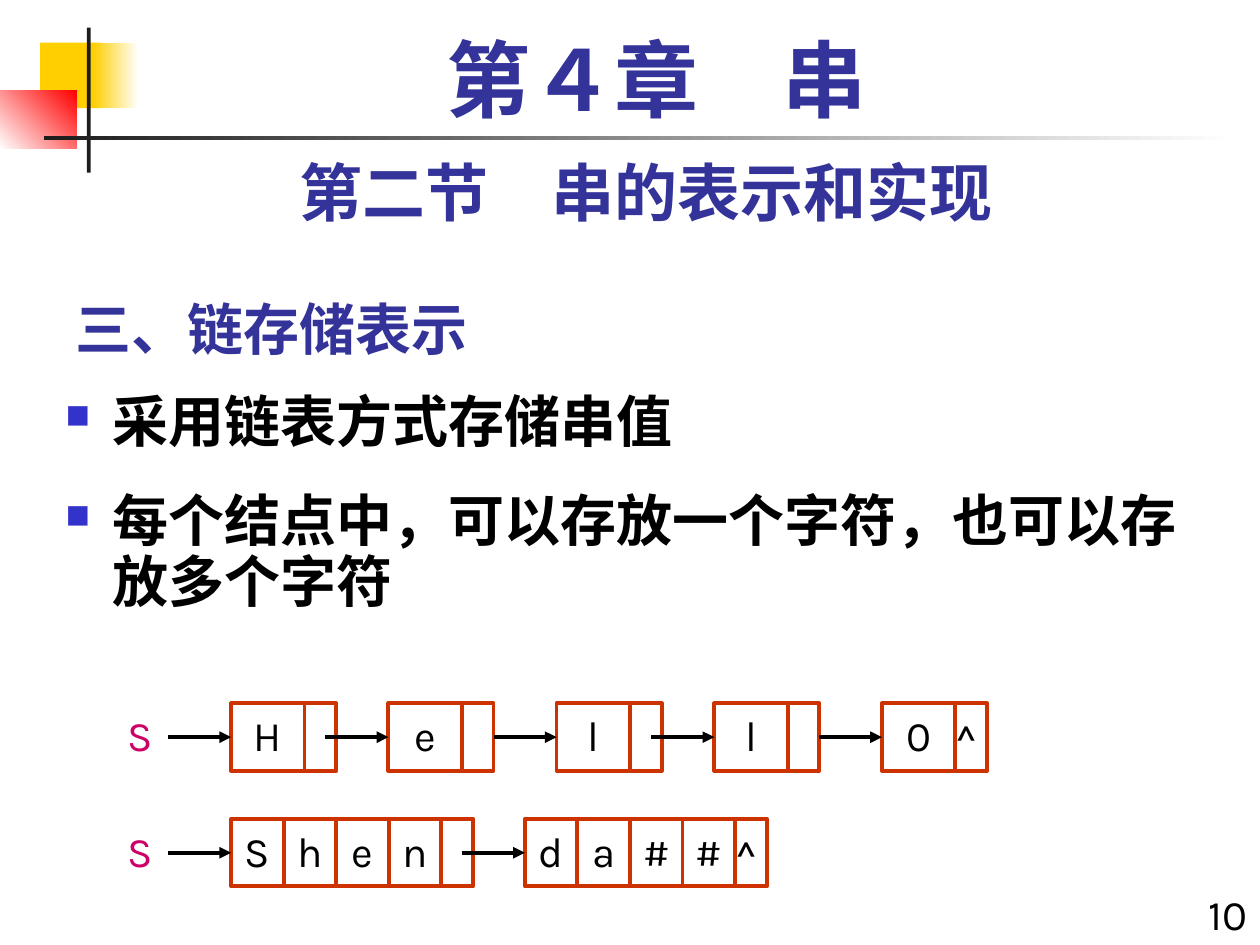
from lxml import etree
from pptx import Presentation
from pptx import util as u
from pptx.dml.color import RGBColor
from pptx.enum import shapes, text
from pptx.oxml import ns

THEME = {
    "gold": "FFCF01", "white": "FFFFFF", "red": "FF0000", "dark": "1C1C1C",
    "navy": "333399", "mark": "3333CC", "ink": "000000", "edge": "CC3300",
    "pink": "CC0066",
    "sans": "Karla", "han": "Noto Sans CJK SC", "serif": "Times New Roman",
    "big": 48, "mid": 36, "head": 32, "cell": 24, "rule": 2.25,
}

DECOR = [
    ((0.81, 0.86, 1.22, 1.32), ("gold",), 0),
    ((1.88, 0.86, 0.91, 1.32), ("gold", "white"), 0),
    ((0, 1.83, 1.55, 1.17), ("white", "red"), 45),
    ((1.75, 0.56, 0.08, 2.92), ("dark",), 0),
    ((0.89, 2.74, 24, 0.08), ("dark", "white"), 0),
]
LABELS = [
    ("三、链存储表示", (1.27, 5.51, 15.88, 1.9), "han", "head", "navy", True, "LEFT", "BOTTOM"),
    ("10", (23.7, 17.78, 1.7, 1.27), "sans", "cell", "ink", False, "RIGHT", "TOP"),
    ("第二节\u3000串的表示和实现", (1.27, 2.97, 23.5, 1.78), "sans", "mid", "navy", True, "CENTER", "TOP"),
    ("第４章\u3000串", (1.7, 0.43, 23.06, 2.11), "serif", "big", "navy", True, "CENTER", "TOP"),
]
POINTS = ["采用链表方式存储串值", "每个结点中，可以存放一个字符，也可以存放多个字符"]
CHAINS = [
    {"top": 14.18, "cell": 1.48, "nodes": [(4.66, "H"), (7.83, "e"), (11.22, "l"), (14.4, "l"), (17.78, "0")]},
    {"top": 16.51, "cell": 1.06, "nodes": [(4.66, "Shen"), (10.58, "da##")]},
]
HIGH, LINK, REACH = 1.36, 0.64, 1.27


def tint(key):
    return RGBColor.from_string(THEME[key])


def place(box):
    return [u.Cm(v) for v in box]


def style(par, face, size, hue, bold=False, align="LEFT"):
    par.alignment = getattr(text.PP_ALIGN, align)
    for run in par.runs:
        run.font.name = THEME[face]
        run.font.size = u.Pt(THEME[size])
        run.font.bold = bold
        run.font.color.rgb = tint(hue)


def label(pool, words, box, face, size, hue, bold=False, align="LEFT", anchor="TOP"):
    frame = pool.add_textbox(*place(box)).text_frame
    frame.word_wrap = True
    frame.vertical_anchor = getattr(text.MSO_ANCHOR, anchor)
    frame.text = words
    style(frame.paragraphs[0], face, size, hue, bold, align)
    return frame


def block(pool, box):
    shape = pool.add_shape(shapes.MSO_SHAPE.RECTANGLE, *place(box))
    shape.shadow.inherit = False
    return shape


def cell(pool, box, sign="", align="CENTER"):
    shape = block(pool, box)
    shape.fill.background()
    shape.line.color.rgb = tint("edge")
    shape.line.width = u.Pt(THEME["rule"])
    if sign:
        frame = shape.text_frame
        frame.vertical_anchor = text.MSO_ANCHOR.TOP
        frame.text = sign
        style(frame.paragraphs[0], "sans", "cell", "ink", align=align)
    return shape


def arrow(pool, left, mid, goal, source):
    line = pool.add_connector(shapes.MSO_CONNECTOR.STRAIGHT, *place((left - REACH, mid, left, mid)))
    line.line.color.rgb = tint("ink")
    line.line.width = u.Pt(THEME["rule"])
    props = line._element.spPr
    etree.SubElement(props.find(ns.qn("a:ln")), ns.qn("a:tailEnd"), type="triangle")
    etree.SubElement(props, ns.qn("a:effectLst"))
    if source:
        line.begin_connect(source, 3)
    line.end_connect(goal, 1)


def chain(slide, top, size, nodes):
    pool = slide.shapes.add_group_shape().shapes
    label(pool, "S", (2.33, top, 1.27, 1.27), "sans", "cell", "pink")
    tail, right = None, 0
    for left, word in nodes:
        cells = [cell(pool, (left + i * size, top, size, HIGH), sign) for i, sign in enumerate(word)]
        meets = abs(left - REACH - right) < 0.05
        arrow(pool, left, top + HIGH / 2, cells[0], tail if meets else None)
        edge = left + len(word) * size
        last = left == nodes[-1][0]
        tail = cell(pool, (edge, top, LINK, HIGH), "^" if last else "", "LEFT")
        right = edge + LINK
    tail.text_frame.margin_left = tail.text_frame.margin_right = 0


def bullets(slide):
    frame = label(slide.shapes, "\n".join(POINTS), (1.07, 7.82, 23.55, 11.23), "han", "head", "ink", True)
    for i, par in enumerate(frame.paragraphs):
        props = par._p.get_or_add_pPr()
        props.set("marL", str(u.Cm(0.95)))
        props.set("indent", str(-u.Cm(0.95)))
        hue = etree.SubElement(props, ns.qn("a:buClr"))
        etree.SubElement(hue, ns.qn("a:srgbClr"), val=THEME["mark"])
        etree.SubElement(props, ns.qn("a:buSzPct"), val="60000")
        etree.SubElement(props, ns.qn("a:buChar"), char="■")
        par.line_spacing = 0.9
        if i:
            par.space_before = u.Pt(22)
        style(par, "han", "head", "ink", True)


def main():
    deck = Presentation()
    deck.slide_width, deck.slide_height = place((25.4, 19.05))
    slide = deck.slides.add_slide(deck.slide_layouts[6])
    for box, hues, angle in DECOR:
        shape = block(slide.shapes, box)
        shape.line.fill.background()
        if len(hues) == 1:
            shape.fill.solid()
            shape.fill.fore_color.rgb = tint(hues[0])
        else:
            shape.fill.gradient()
            shape.fill.gradient_angle = angle
            for stop, hue in zip(shape.fill.gradient_stops, hues):
                stop.color.rgb = tint(hue)
    for item in LABELS:
        label(slide.shapes, *item)
    bullets(slide)
    for row in CHAINS:
        chain(slide, row["top"], row["cell"], row["nodes"])
    deck.save("out.pptx")


if __name__ == "__main__":
    main()
